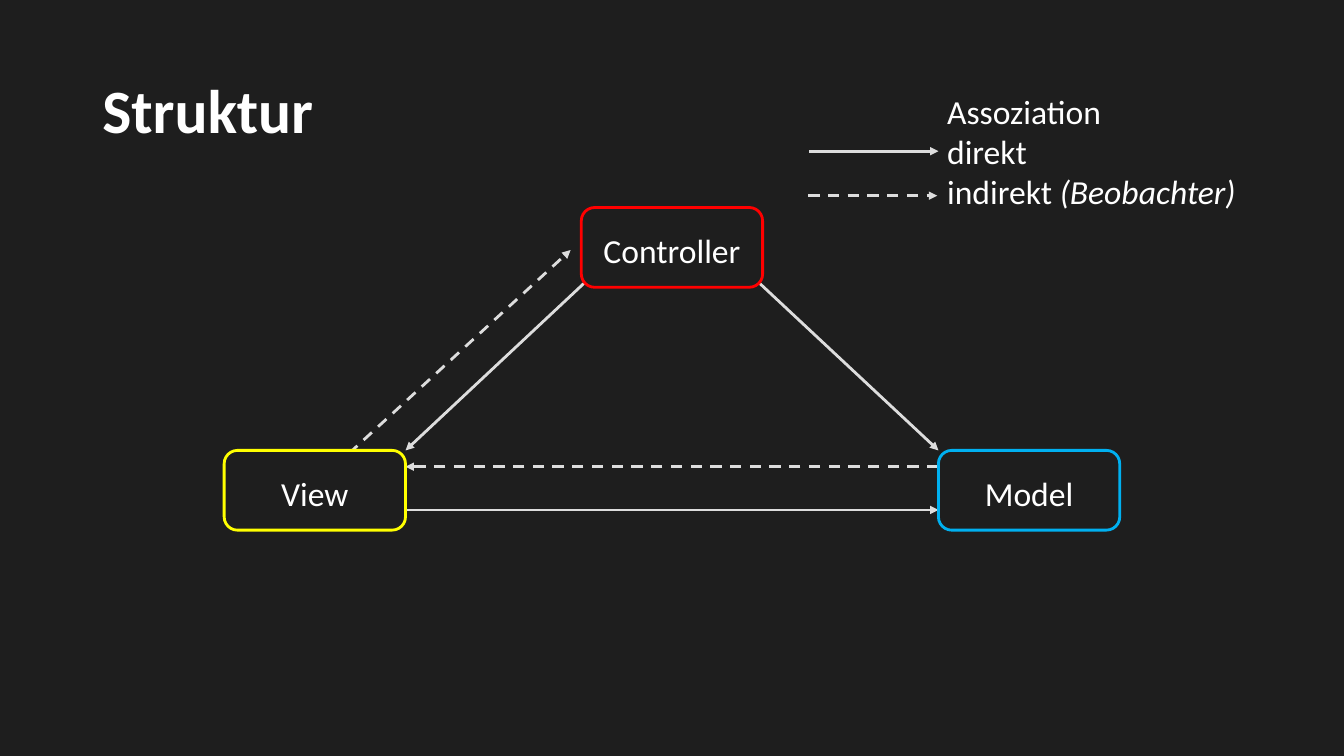
import dataclasses

import lxml.etree
import pptx
import pptx.dml.color
import pptx.enum.dml
import pptx.enum.shapes
import pptx.enum.text
import pptx.oxml.ns
import pptx.util

Cm = pptx.util.Cm
BACKGROUND, WHITE, ARROW_GREY = "1E1E1E", "FFFFFF", "DDDDDD"
BOX_WIDTH, BOX_HEIGHT = 4.57, 2.01
CENTER_LEFT, SIDE_OFFSET = 14.65, 9.0
TOP_ROW, BOTTOM_ROW = 5.23, 11.35
VIEW_LEFT, MODEL_LEFT = CENTER_LEFT - SIDE_OFFSET, CENTER_LEFT + SIDE_OFFSET
VIEW_RIGHT = VIEW_LEFT + BOX_WIDTH


@dataclasses.dataclass
class Component:
    name: str
    left: float
    top: float
    color: str


@dataclasses.dataclass
class Association:
    start: tuple[float, float]
    end: tuple[float, float]
    indirect: bool = False


@dataclasses.dataclass
class TextRun:
    text: str
    size: int = 24
    bold: bool = False
    italic: bool = False


COMPONENTS = [
    Component("Controller", CENTER_LEFT, TOP_ROW, "FF0000"),
    Component("View", VIEW_LEFT, BOTTOM_ROW, "FFFF00"),
    Component("Model", MODEL_LEFT, BOTTOM_ROW, "00B0F0"),
]
ASSOCIATIONS = [
    # View and Model
    Association((VIEW_RIGHT, 12.85), (MODEL_LEFT, 12.85)),
    Association((MODEL_LEFT, 11.76), (VIEW_RIGHT, 11.76), indirect=True),
    # Controller to View and Model
    Association((14.94, 6.93), (VIEW_RIGHT, BOTTOM_ROW)),
    Association((18.92, 6.93), (MODEL_LEFT, BOTTOM_ROW)),
    # View to Controller
    Association((8.43, 11.76), (14.38, 6.3), indirect=True),
    # Legend
    Association((20.4, 3.81), (23.65, 3.81)),
    Association((20.37, 4.93), (23.62, 4.93), indirect=True),
]
LEGEND = [
    [TextRun("Assoziation")],
    [TextRun("direkt")],
    [TextRun("indirekt "), TextRun("(Beobachter)", italic=True)],
]


def rgb(color: str) -> pptx.dml.color.RGBColor:
    return pptx.dml.color.RGBColor.from_string(color)


def set_attributes(target, values: dict) -> None:
    for name, value in values.items():
        setattr(target, name, value)


def write_paragraph(paragraph, runs: list[TextRun]) -> None:
    for text_run in runs:
        run = paragraph.add_run()
        run.text = text_run.text
        set_attributes(run.font, {
            "name": "Calibri",
            "size": pptx.util.Pt(text_run.size),
            "bold": text_run.bold,
            "italic": text_run.italic,
        })
        run.font.color.rgb = rgb(WHITE)


def add_text(slide, left: float, top: float, width: float, height: float,
             paragraphs: list[list[TextRun]], frame_format: dict):
    text_box = slide.shapes.add_textbox(Cm(left), Cm(top), Cm(width), Cm(height))
    frame = text_box.text_frame
    set_attributes(frame, frame_format)
    for index, runs in enumerate(paragraphs):
        paragraph = frame.add_paragraph() if index else frame.paragraphs[0]
        write_paragraph(paragraph, runs)
    return text_box


def add_association(slide, association: Association) -> None:
    connector = slide.shapes.add_connector(
        pptx.enum.shapes.MSO_CONNECTOR.STRAIGHT,
        *map(Cm, association.start + association.end))
    connector.line.width = pptx.util.Pt(2)
    connector.line.color.rgb = rgb(ARROW_GREY)
    if association.indirect:
        connector.line.dash_style = pptx.enum.dml.MSO_LINE.DASH
    # Arrowhead, and no shadow
    qn = pptx.oxml.ns.qn
    properties = connector.line._get_or_add_ln()
    lxml.etree.SubElement(properties, qn("a:tailEnd"), type="triangle")
    lxml.etree.SubElement(properties.getparent(), qn("a:effectLst"))


def add_component(slide, component: Component) -> None:
    shape = slide.shapes.add_shape(
        pptx.enum.shapes.MSO_SHAPE.ROUNDED_RECTANGLE,
        Cm(component.left), Cm(component.top), Cm(BOX_WIDTH), Cm(BOX_HEIGHT))
    shape.shadow.inherit = False
    shape.fill.solid()
    shape.fill.fore_color.rgb = rgb(BACKGROUND)
    shape.line.color.rgb = rgb(component.color)
    shape.line.width = pptx.util.Pt(2)
    set_attributes(shape.text_frame, {
        "word_wrap": False,
        "vertical_anchor": pptx.enum.text.MSO_ANCHOR.MIDDLE,
        "margin_top": Cm(0.25),
        "margin_bottom": Cm(0.13),
    })
    paragraph = shape.text_frame.paragraphs[0]
    paragraph.alignment = pptx.enum.text.PP_ALIGN.CENTER
    write_paragraph(paragraph, [TextRun(component.name)])


def main() -> None:
    presentation = pptx.Presentation()
    presentation.slide_width, presentation.slide_height = Cm(33.87), Cm(19.05)
    slide = presentation.slides.add_slide(presentation.slide_layouts[6])
    slide.background.fill.solid()
    slide.background.fill.fore_color.rgb = rgb(BACKGROUND)

    # Title
    title = add_text(
        slide, 2.33, 1.02, 29.21, 3.68, [[TextRun("Struktur", 44, bold=True)]],
        {"word_wrap": True, "vertical_anchor": pptx.enum.text.MSO_ANCHOR.MIDDLE})
    title.text_frame.paragraphs[0].line_spacing = 0.9

    # Arrows lie behind the boxes
    for association in ASSOCIATIONS:
        add_association(slide, association)
    for component in COMPONENTS:
        add_component(slide, component)

    # Legend
    add_text(slide, 23.62, 2.16, 7.85, 3.33, LEGEND, {"word_wrap": False})

    presentation.save("out.pptx")


if __name__ == "__main__":
    main()
